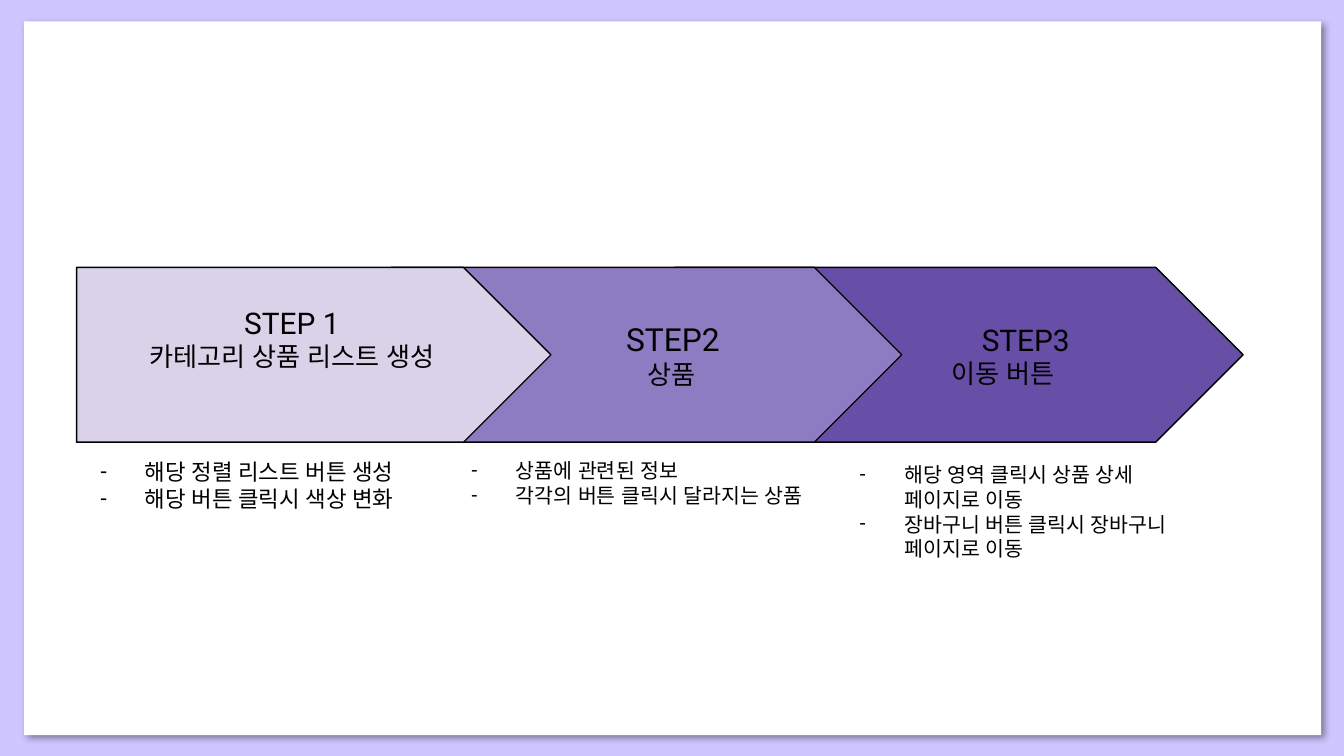
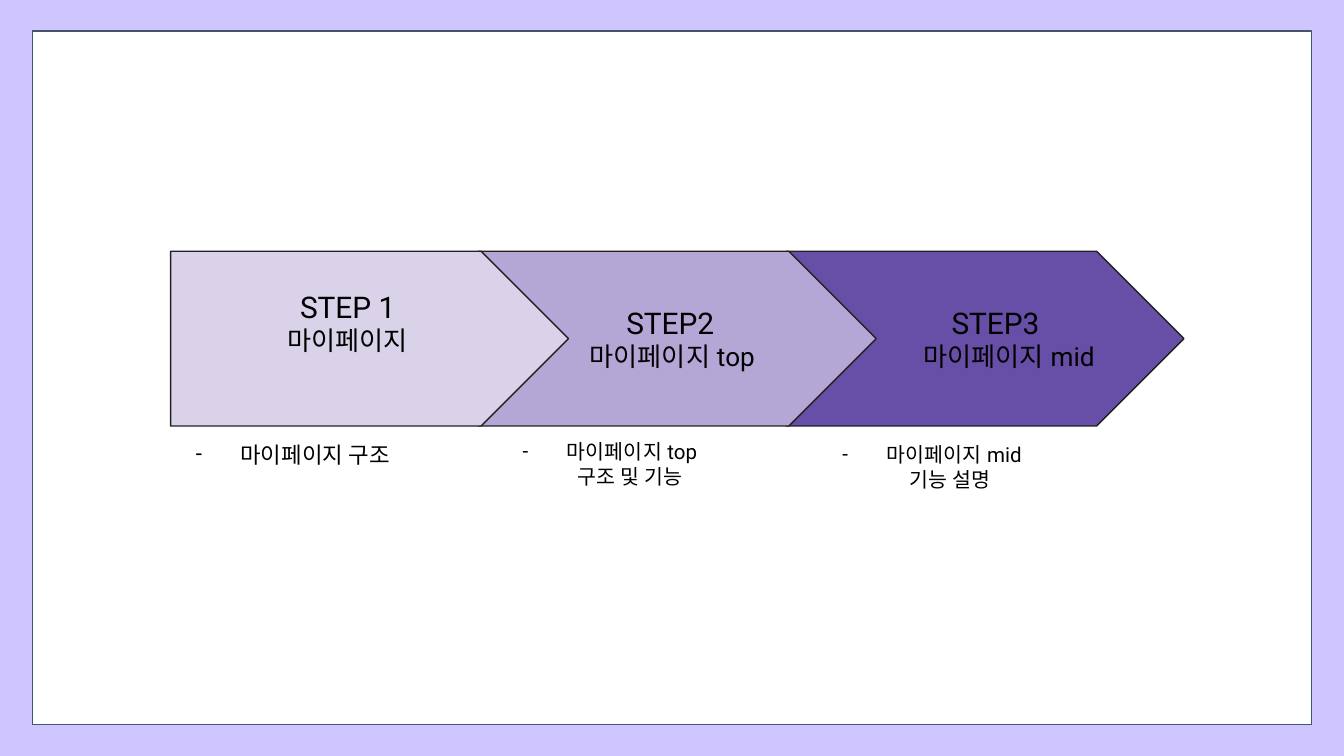
import pptx
import pptx.util
import pptx.dml.color
import pptx.enum.shapes
import pptx.enum.text
import pptx.oxml
import pptx.oxml.ns

Inches = pptx.util.Inches
Pt = pptx.util.Pt
SHAPE = pptx.enum.shapes.MSO_SHAPE
ALIGN = pptx.enum.text.PP_ALIGN
ANCHOR = pptx.enum.text.MSO_ANCHOR
NS = pptx.oxml.ns.nsdecls("a")

COLORS = {
    "back": "D0C6FF", "panel": "FFFFFF", "frame": "44546A",
    "black": "000000", "edge": "212121",
    "pale": "D9D2E9", "light": "B4A7D6", "mid": "8E7CC3", "deep": "674EA7",
}
FONT = "Roboto"
PAD = 0.1
HIGH = 1.3  # arrow height


def color(name):
    return pptx.dml.color.RGBColor.from_string(COLORS[name])


def add_line(para, text, size=12, left=0, hang=0, dash=False, align=ALIGN.LEFT):
    """Write one paragraph with its indent, bullet and font."""
    props = para._p.get_or_add_pPr()
    props.set("marL", str(Inches(left)))
    props.set("indent", str(Inches(hang)))
    if dash:
        tint = f'<a:buClr {NS}><a:srgbClr val="{COLORS["black"]}"/></a:buClr>'
        face = f'<a:buFont {NS} typeface="{FONT}"/>'
        mark = f'<a:buChar {NS} char="-"/>'
        for part in (tint, face, mark):
            props.append(pptx.oxml.parse_xml(part))
    para.alignment = align
    run = para.add_run()
    run.text = text
    run.font.name = FONT
    run.font.size = Pt(size)
    run.font.color.rgb = color("black")
    asian = pptx.oxml.parse_xml(f'<a:ea {NS} typeface="{FONT}"/>')
    run._r.get_or_add_rPr().append(asian)


def fill_text(frame, lines, bottom=PAD, **style):
    """Fill a frame from (text, changes) pairs on top of a shared style."""
    frame.word_wrap = True
    frame.margin_left = frame.margin_right = frame.margin_top = Inches(PAD)
    frame.margin_bottom = Inches(bottom)
    for i, (text, extra) in enumerate(lines):
        para = frame.add_paragraph() if i else frame.paragraphs[0]
        add_line(para, text, **{**style, **extra})


def add_form(slide, kind, box, fill, line=None):
    form = slide.shapes.add_shape(kind, *map(Inches, box))
    form.shadow.inherit = False
    form.fill.solid()
    form.fill.fore_color.rgb = color(fill)
    if line:
        form.line.color.rgb = color(line)
        form.line.width = Pt(0.75)
    else:
        form.line.fill.background()
    return form


def add_shade(form):
    """Give a shape a soft shadow to the lower right."""
    props = form._element.spPr
    props.remove(props.find(pptx.oxml.ns.qn("a:effectLst")))
    props.append(pptx.oxml.parse_xml(
        f'<a:effectLst {NS}><a:outerShdw blurRad="{Pt(4)}" dist="{Pt(3)}" '
        f'dir="{45 * 60000}" algn="bl" rotWithShape="0">'
        f'<a:srgbClr val="{COLORS["black"]}"><a:alpha val="40000"/></a:srgbClr>'
        '</a:outerShdw></a:effectLst>'))


def add_step(slide, box, fill, line, head, name, size=16, lefts=(0, 0), lift=0):
    """Draw an arrow; lefts push its two lines right, lift raises them."""
    form = add_form(slide, SHAPE.PENTAGON, box, fill, line)
    form.adjustments[0] = 0.5
    form.text_frame.vertical_anchor = ANCHOR.MIDDLE
    lines = [(head, {"size": size, "left": lefts[0]}),
             (name, {"size": 14, "left": lefts[1]})]
    fill_text(form.text_frame, lines, bottom=PAD + lift, align=ALIGN.CENTER)


def add_note(slide, box, lines, size=11):
    note = slide.shapes.add_textbox(*map(Inches, box))
    fill_text(note.text_frame, lines, size=size, left=0.5)


def dash(text):
    return text, {"hang": -0.33, "dash": True}


def add_list(slide):
    """Product list steps."""
    panel = add_form(slide, SHAPE.RECTANGLE, (0.18, 0.16, 9.65, 5.31), "panel")
    add_shade(panel)

    # Arrows, last step at the back
    top = 1.99
    add_step(slide, (5.02, top, 4.23, HIGH), "deep", "black",
             "STEP3", "이동 버튼", lefts=(1.32, 0.98))
    add_step(slide, (2.91, top, 3.8, HIGH), "mid", "black",
             "STEP2", "상품", size=17, lefts=(0.72, 0.7))
    add_step(slide, (0.57, top, 3.53, HIGH), "pale", "black",
             "STEP 1", "카테고리 상품 리스트 생성", lift=0.24)

    # Notes
    add_note(slide, (0.48, 3.31, 3.1, 0.61),
             [dash("해당 정렬 리스트 버튼 생성"), dash("해당 버튼 클릭시 색상 변화")], size=12)
    add_note(slide, (3.24, 3.31, 3.53, 0.57),
             [dash("상품에 관련된 정보"), dash("각각의 버튼 클릭시 달라지는 상품")])
    add_note(slide, (6.13, 3.34, 2.72, 0.94),
             [dash("해당 영역 클릭시 상품 상세 페이지로 이동"),
              dash("장바구니 버튼 클릭시 장바구니 페이지로 이동")])


def add_page(slide):
    """My-page steps."""
    add_form(slide, SHAPE.RECTANGLE, (0.24, 0.23, 9.52, 5.16), "panel", "frame")

    # Arrows at equal steps, last one at the back
    steps = [
        ("pale", "STEP 1", "마이페이지", (0, 0), 0.24),
        ("light", "STEP2", "마이페이지 top", (0.22, 0.25), 0),
        ("deep", "STEP3", "마이페이지 mid", (0.48, 0.68), 0),
    ]
    for i, (fill, head, name, lefts, lift) in reversed(list(enumerate(steps))):
        add_step(slide, (1.27 + 2.29 * i, 1.87, 2.96, HIGH), fill, "edge",
                 head, name, lefts=lefts, lift=lift)

    # Notes
    add_note(slide, (1.19, 3.18, 3.03, 0.4), [dash("마이페이지 구조")], size=12)
    add_note(slide, (3.62, 3.17, 3.45, 0.57),
             [dash("마이페이지 top"), ("구조 및 기능", {"left": 0.58})])
    add_note(slide, (6, 3.19, 2.66, 0.57),
             [dash("마이페이지 mid"), ("기능 설명", {"left": 0.67})])


def main():
    deck = pptx.Presentation()
    deck.slide_width = Inches(10)
    deck.slide_height = Inches(10 * 9 / 16)
    back = deck.slide_master.background.fill
    back.solid()
    back.fore_color.rgb = color("back")
    for build in (add_list, add_page):
        build(deck.slides.add_slide(deck.slide_layouts[6]))
    deck.save("out.pptx")


if __name__ == "__main__":
    main()
